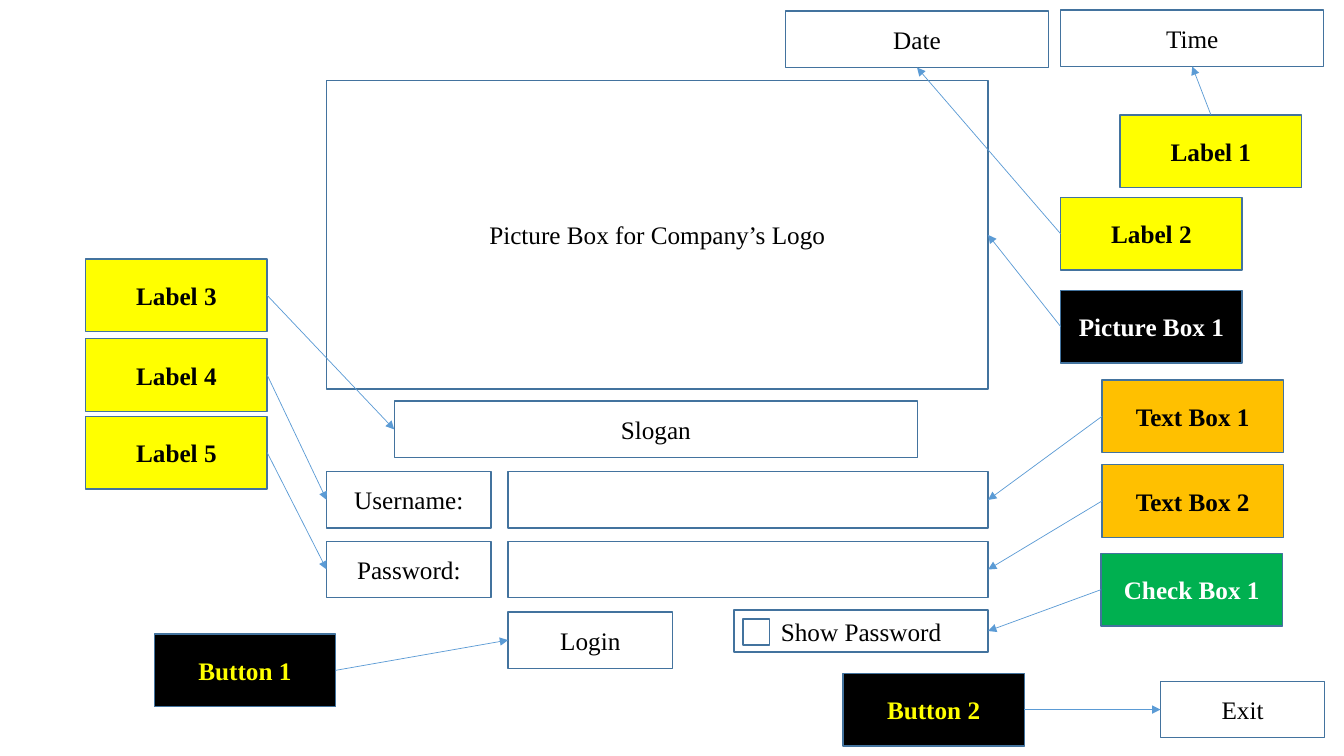
"""Build the annotated wireframe of a login form."""
import pptx
import pptx.util
import pptx.dml.color
import pptx.enum.shapes
import pptx.enum.text
import pptx.oxml
import pptx.oxml.ns
from pptx.util import Inches

TOP, LEFT, BOTTOM, RIGHT = range(4)


def color(hex_code):
    return pptx.dml.color.RGBColor.from_string(hex_code)


def add_box(text, left, top, width, height, fill=None, ink="000000"):
    box = slide.shapes.add_shape(
        pptx.enum.shapes.MSO_SHAPE.RECTANGLE,
        Inches(left), Inches(top), Inches(width), Inches(height))
    box.shadow.inherit = False
    box.line.color.rgb = color("43739E")
    box.line.width = pptx.util.Pt(1)
    if fill:
        box.fill.solid()
        box.fill.fore_color.rgb = color(fill)
    else:
        box.fill.background()
    if text:
        box.text_frame.text = text
        box.text_frame.vertical_anchor = pptx.enum.text.MSO_ANCHOR.MIDDLE
        paragraph = box.text_frame.paragraphs[0]
        paragraph.alignment = pptx.enum.text.PP_ALIGN.CENTER
        paragraph.font.name = "Times New Roman"
        paragraph.font.size = pptx.util.Pt(18)
        paragraph.font.bold = bool(fill)
        paragraph.font.color.rgb = color(ink)
    return box


presentation = pptx.Presentation()
presentation.slide_width = Inches(13.33)
presentation.slide_height = Inches(7.5)
slide = presentation.slides.add_slide(presentation.slide_layouts[6])

form_left, field_left, form_right = 3.24, 5.04, 9.8
row_height, caption_width, field_width = 0.56, 1.63, form_right - field_left

logo = add_box("Picture Box for Company’s Logo", form_left, 0.8, form_right - form_left, 3.06)
date = add_box("Date", 7.79, 0.11, 2.61, row_height)
time = add_box("Time", 10.52, 0.1, 2.61, row_height)
slogan = add_box("Slogan", 3.91, 3.98, 5.19, row_height)
login = add_box("Login", field_left, 6.07, caption_width, row_height)
exit_button = add_box("Exit", 11.51, 6.76, caption_width, row_height)
show_password = add_box("Show Password", 7.28, 6.05, 2.52, 0.42)
add_box("", 7.37, 6.14, 0.26, 0.26)

captions, fields = [], []
for caption, top in (("Username:", 4.68), ("Password:", 5.37)):
    captions.append(add_box(caption, form_left, top, caption_width, row_height))
    fields.append(add_box("", field_left, top, field_width, row_height))

YELLOW, ORANGE, GREEN, BLACK, WHITE = "FFFF00", "FFC000", "00B050", "000000", "FFFFFF"
tags = [
    ("Label 1", 11.11, 1.14, YELLOW, BLACK, TOP, time, BOTTOM),
    ("Label 2", 10.52, 1.96, YELLOW, BLACK, LEFT, date, BOTTOM),
    ("Label 3", 0.85, 2.57, YELLOW, BLACK, RIGHT, slogan, LEFT),
    ("Label 4", 0.85, 3.36, YELLOW, BLACK, RIGHT, captions[0], LEFT),
    ("Label 5", 0.85, 4.13, YELLOW, BLACK, RIGHT, captions[1], LEFT),
    ("Picture Box 1", 10.52, 2.88, BLACK, WHITE, LEFT, logo, RIGHT),
    ("Text Box 1", 10.93, 3.77, ORANGE, BLACK, LEFT, fields[0], RIGHT),
    ("Text Box 2", 10.93, 4.61, ORANGE, BLACK, LEFT, fields[1], RIGHT),
    ("Check Box 1", 10.92, 5.49, GREEN, WHITE, LEFT, show_password, RIGHT),
    ("Button 1", 1.53, 6.29, BLACK, YELLOW, RIGHT, login, LEFT),
    ("Button 2", 8.36, 6.68, BLACK, YELLOW, RIGHT, exit_button, LEFT),
]
for name, left, top, fill, ink, tag_side, target, target_side in tags:
    tag = add_box(name, left, top, 1.8, 0.72, fill, ink)
    arrow = slide.shapes.add_connector(
        pptx.enum.shapes.MSO_CONNECTOR.STRAIGHT, 0, 0, 0, 0)
    arrow.begin_connect(tag, tag_side)
    arrow.end_connect(target, target_side)
    arrow.line.color.rgb = color("5B9BD5")
    arrow.line.width = pptx.util.Pt(0.5)
    head = pptx.oxml.parse_xml(f'<a:tailEnd {pptx.oxml.ns.nsdecls("a")} type="triangle"/>')
    arrow.line._get_or_add_ln().append(head)
    no_effects = pptx.oxml.parse_xml(f'<a:effectLst {pptx.oxml.ns.nsdecls("a")}/>')
    arrow._element.spPr.append(no_effects)

presentation.save("out.pptx")
